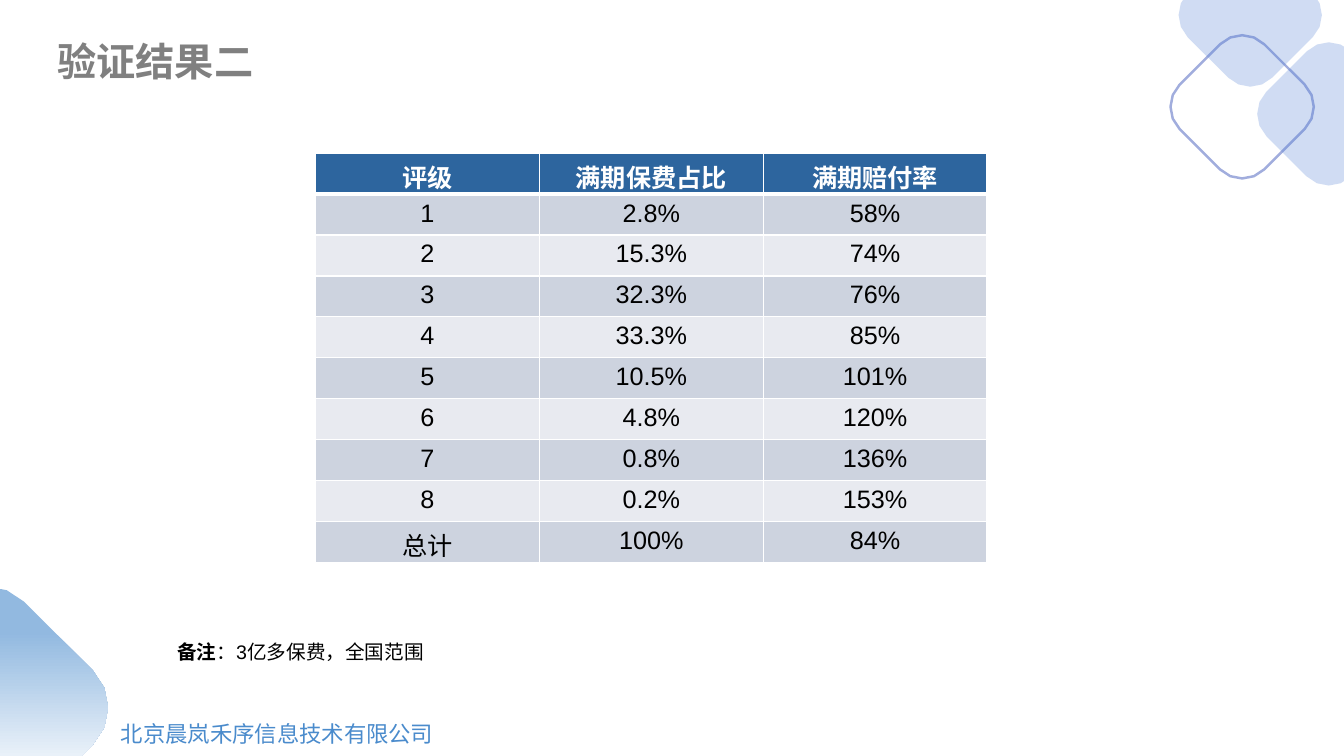
"""Build the second validation results slide."""
from dataclasses import dataclass

from lxml.etree import SubElement
from pptx import Presentation
from pptx.dml.color import RGBColor
from pptx.enum.text import MSO_ANCHOR as Anchor, MSO_AUTO_SIZE as AutoSize, PP_ALIGN as Align
from pptx.oxml.ns import qn
from pptx.shapes.autoshape import Shape
from pptx.slide import Slide
from pptx.table import _Cell as Cell
from pptx.text.text import Font
from pptx.util import Emu, Pt

PX = 9144
SLIDE_WIDTH, SLIDE_HEIGHT = 1333, 750
CURVE_STEPS = 4
Point = tuple[float, float]


@dataclass(frozen=True)
class Theme:
    """Fonts, colours and sizes in points."""
    body_font: str = "Arial"
    title_font: str = "Times New Roman"
    title: str = "808080"
    company: str = "4A8BCC"
    header: str = "2D659E"
    bands: tuple[str, str] = ("CDD3DF", "E8EAF0")
    white: str = "FFFFFF"
    black: str = "000000"
    outline: str = "A1ADDD"
    tint: str = "5784D6"
    gradient: tuple[str, str] = ("92B9E0", "E9F1F9")
    tint_opacity: int = 28
    title_size: int = 28
    table_size: int = 18
    company_size: int = 16
    note_size: int = 14
    outline_width: float = 1.75
    border_width: int = 1
    header_border_width: int = 3


THEME = Theme()


@dataclass(frozen=True)
class Box:
    """A rectangle in px."""
    left: int
    top: int
    width: int
    height: int

    def emu(self) -> tuple[Emu, Emu, Emu, Emu]:
        """Return the rectangle in EMU."""
        return Emu(self.left * PX), Emu(self.top * PX), Emu(self.width * PX), Emu(self.height * PX)


@dataclass(frozen=True)
class Diamond:
    """A rounded diamond: centre, distance to corner chord and half chord, in px."""
    x: int
    y: int
    reach: int
    chord: int
    style: str


@dataclass(frozen=True)
class Span:
    """A stretch of text with one weight."""
    text: str
    bold: bool = False


DIAMONDS = (
    Diamond(1232, 106, 62, 22, "outline"),
    Diamond(1318, 113, 62, 22, "tint"),
    Diamond(1240, 15, 62, 22, "tint"),
    Diamond(-13, 702, 105, 37, "gradient"),
)
TITLE_BOX = Box(47, 32, 637, 57)
TABLE_BOX = Box(313, 152, 666, 406)
NOTE_BOX = Box(166, 630, 873, 34)
COMPANY_BOX = Box(30, 713, 410, 30)
CELL_TOP_MARGIN = 5
RATINGS = (
    ("评级", "满期保费占比", "满期赔付率"),
    ("1", "2.8%", "58%"),
    ("2", "15.3%", "74%"),
    ("3", "32.3%", "76%"),
    ("4", "33.3%", "85%"),
    ("5", "10.5%", "101%"),
    ("6", "4.8%", "120%"),
    ("7", "0.8%", "136%"),
    ("8", "0.2%", "153%"),
    ("总计", "100%", "84%"),
)


def rgb(colour: str) -> RGBColor:
    """Convert a hex colour."""
    return RGBColor.from_string(colour)


def format_font(font: Font, name: str, size: int, colour: str, bold: bool = False) -> None:
    """Apply typeface, size, colour and weight."""
    font.name, font.size, font.bold = name, Pt(size), bold
    font.color.rgb = rgb(colour)


def diamond_points(diamond: Diamond) -> list[Point]:
    """Trace the rounded corners clockwise from the right."""
    reach, chord = diamond.reach, diamond.chord
    pull = chord * 0.55
    controls = ((reach, -chord), (reach + pull, pull - chord),
                (reach + pull, chord - pull), (reach, chord))
    points = []
    for cosine, sine in ((1, 0), (0, 1), (-1, 0), (0, -1)):
        for step in range(CURVE_STEPS + 1):
            t = step / CURVE_STEPS
            weights = ((1 - t) ** 3, 3 * t * (1 - t) ** 2, 3 * t * t * (1 - t), t ** 3)
            u = sum(weight * control[0] for weight, control in zip(weights, controls))
            v = sum(weight * control[1] for weight, control in zip(weights, controls))
            points.append((diamond.x + u * cosine - v * sine, diamond.y + u * sine + v * cosine))
    return points


def clip(points: list[Point], axis: int, limit: int, sign: int) -> list[Point]:
    """Keep the part of a polygon on the inner side of one slide edge."""
    kept = []
    for start, end in zip(points[-1:] + points[:-1], points):
        before, after = sign * (limit - start[axis]), sign * (limit - end[axis])
        if (before >= 0) != (after >= 0):
            share = before / (before - after)
            kept.append((start[0] + share * (end[0] - start[0]),
                         start[1] + share * (end[1] - start[1])))
        if after >= 0:
            kept.append(end)
    return kept


def paint_diamond(shape: Shape, style: str) -> None:
    """Fill or outline a diamond."""
    shape.shadow.inherit = False
    if style == "outline":
        shape.fill.background()
        shape.line.color.rgb = rgb(THEME.outline)
        shape.line.width = Pt(THEME.outline_width)
        return
    if style == "tint":
        shape.fill.solid()
        shape.fill.fore_color.rgb = rgb(THEME.tint)
        for colour in shape.element.spPr.iter(qn("a:srgbClr")):
            SubElement(colour, qn("a:alpha"), val=str(THEME.tint_opacity * 1000))
    else:
        shape.fill.gradient()
        shape.fill.gradient_angle = 270
        for stop, colour, position in zip(shape.fill.gradient_stops, THEME.gradient, (0.26, 1)):
            stop.color.rgb, stop.position = rgb(colour), position
    shape.line.fill.background()


def add_diamond(slide: Slide, diamond: Diamond) -> None:
    """Draw a diamond cut off at the slide edges."""
    points = diamond_points(diamond)
    for axis, limit, sign in ((0, 0, -1), (0, SLIDE_WIDTH, 1), (1, 0, -1), (1, SLIDE_HEIGHT, 1)):
        points = clip(points, axis, limit, sign)
    corners = [(round(x * PX), round(y * PX)) for x, y in points]
    builder = slide.shapes.build_freeform(*corners[0])
    builder.add_line_segments(corners[1:], close=True)
    paint_diamond(builder.convert_to_shape(), diamond.style)


def add_title(slide: Slide, text: str) -> None:
    """Place and format the title placeholder."""
    title = slide.shapes.title
    title.left, title.top, title.width, title.height = TITLE_BOX.emu()
    frame = title.text_frame
    frame.text = text
    frame.vertical_anchor, frame.auto_size = Anchor.TOP, AutoSize.SHAPE_TO_FIT_TEXT
    frame.paragraphs[0].alignment = Align.LEFT
    format_font(frame.paragraphs[0].runs[0].font, THEME.title_font, THEME.title_size,
                THEME.title, True)


def add_text(slide: Slide, box: Box, spans: tuple[Span, ...], size: int, colour: str,
             align: Align = Align.LEFT, anchor: Anchor = Anchor.TOP) -> None:
    """Add a one-line text box."""
    frame = slide.shapes.add_textbox(*box.emu()).text_frame
    frame.word_wrap, frame.vertical_anchor = True, anchor
    paragraph = frame.paragraphs[0]
    paragraph.alignment = align
    for span in spans:
        run = paragraph.add_run()
        run.text = span.text
        format_font(run.font, THEME.body_font, size, colour, span.bold)


def format_cell(cell: Cell, row: int) -> None:
    """Apply borders, fill and type to a cell."""
    is_header = row == 0
    heavy = {0: "lnB", 1: "lnT"}.get(row)
    properties = cell._tc.get_or_add_tcPr()
    for side in ("lnL", "lnR", "lnT", "lnB"):
        width = THEME.header_border_width if side == heavy else THEME.border_width
        border = SubElement(properties, qn(f"a:{side}"), w=str(Pt(width)))
        SubElement(SubElement(border, qn("a:solidFill")), qn("a:srgbClr"), val=THEME.white)
    cell.fill.solid()
    cell.fill.fore_color.rgb = rgb(THEME.header if is_header else THEME.bands[(row - 1) % 2])
    cell.margin_top, cell.margin_bottom = Emu(CELL_TOP_MARGIN * PX), Emu(0)
    paragraph = cell.text_frame.paragraphs[0]
    paragraph.alignment = Align.CENTER
    format_font(paragraph.runs[0].font, THEME.body_font, THEME.table_size,
                THEME.white if is_header else THEME.black, is_header)


def add_ratings(slide: Slide) -> None:
    """Add the ratings table."""
    table = slide.shapes.add_table(len(RATINGS), len(RATINGS[0]), *TABLE_BOX.emu()).table
    for row, values in enumerate(RATINGS):
        for column, value in enumerate(values):
            cell = table.cell(row, column)
            cell.text_frame.text = value
            format_cell(cell, row)


def main() -> None:
    """Create and save the presentation."""
    presentation = Presentation()
    presentation.slide_width, presentation.slide_height = SLIDE_WIDTH * PX, SLIDE_HEIGHT * PX
    slide = presentation.slides.add_slide(presentation.slide_layouts.get_by_name("Title Only"))
    for diamond in DIAMONDS:
        add_diamond(slide, diamond)
    add_text(slide, COMPANY_BOX, (Span("北京晨岚禾序信息技术有限公司"),), THEME.company_size,
             THEME.company, Align.RIGHT, Anchor.MIDDLE)
    add_title(slide, "验证结果二")
    add_ratings(slide)
    add_text(slide, NOTE_BOX, (Span("备注", True), Span("：3亿多保费，全国范围")),
             THEME.note_size, THEME.black)
    presentation.save("out.pptx")


if __name__ == "__main__":
    main()
